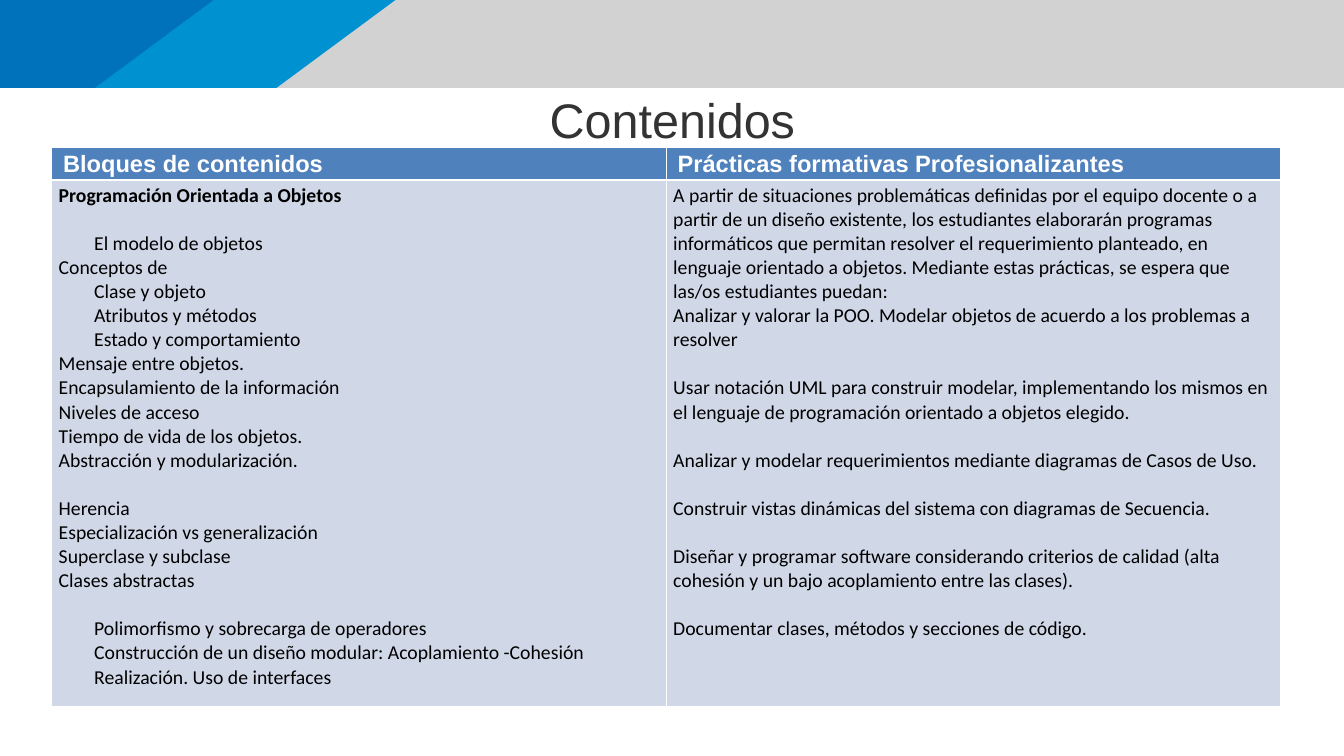
"""Build the 'Contenidos' slide: a banner, a title and a two-column table."""
from dataclasses import dataclass

from lxml import etree
from pptx import Presentation
from pptx.dml.color import RGBColor
from pptx.enum.text import MSO_ANCHOR, MSO_AUTO_SIZE, PP_ALIGN
from pptx.oxml.ns import qn
from pptx.util import Cm, Pt

CENTER = PP_ALIGN.CENTER
BOTTOM = MSO_ANCHOR.BOTTOM
NO_AUTOFIT = MSO_AUTO_SIZE.NONE

TITLE = "Contenidos"
TOPIC = "Programación Orientada a Objetos"
HEADERS = ["Bloques de contenidos", "Prácticas formativas Profesionalizantes"]
CONTENT_BLOCKS = [
    [(TOPIC, 0)],
    [
        ("El modelo de objetos", 1),
        ("Conceptos de", 0),
        ("Clase y objeto", 1),
        ("Atributos y métodos", 1),
        ("Estado y comportamiento", 1),
        ("Mensaje entre objetos.", 0),
        ("Encapsulamiento de la información", 0),
        ("Niveles de acceso", 0),
        ("Tiempo de vida de los objetos.", 0),
        ("Abstracción y modularización.", 0),
    ],
    [
        ("Herencia", 0),
        ("Especialización vs generalización", 0),
        ("Superclase y subclase", 0),
        ("Clases abstractas", 0),
    ],
    [
        ("Polimorfismo y sobrecarga de operadores", 1),
        ("Construcción de un diseño modular: Acoplamiento -Cohesión", 1),
        ("Realización. Uso de interfaces", 1),
    ],
]
PRACTICE_BLOCKS = [
    [
        ("A partir de situaciones problemáticas definidas por el equipo docente o a "
         "partir de un diseño existente, los estudiantes elaborarán programas "
         "informáticos que permitan resolver el requerimiento planteado, en "
         "lenguaje orientado a objetos. Mediante estas prácticas, se espera que "
         "las/os estudiantes puedan:", 0),
        ("Analizar y valorar la POO. Modelar objetos de acuerdo a los problemas a "
         "resolver", 0),
    ],
    [("Usar notación UML para construir modelar, implementando los mismos en "
      "el lenguaje de programación orientado a objetos elegido.", 0)],
    [("Analizar y modelar requerimientos mediante diagramas de Casos de Uso.", 0)],
    [("Construir vistas dinámicas del sistema con diagramas de Secuencia.", 0)],
    [("Diseñar y programar software considerando criterios de calidad (alta "
      "cohesión y un bajo acoplamiento entre las clases).", 0)],
    [("Documentar clases, métodos y secciones de código.", 0)],
]


@dataclass(frozen=True)
class Theme:
    """Colours, fonts and type sizes of the slide."""
    grey: str = "D2D2D3"
    light_blue: str = "0091D1"
    dark_blue: str = "0071BB"
    title: str = "333333"
    header: str = "4F81BD"
    body: str = "D0D8E8"
    white: str = "FFFFFF"
    black: str = "000000"
    heading_font: str = "Arial"
    body_font: str = "Calibri"
    title_size: float = 49.3
    header_size: float = 24
    body_size: float = 20
    block_gap: float = 24.4


T = Theme()
SLIDE_W, SLIDE_H = 48.16, 27.1
BANNER_H = 3.15
BANNER = [
    (SLIDE_W, SLIDE_W, T.grey),
    (14.17, 9.91, T.light_blue),
    (7.65, 3.4, T.dark_blue),
]
TITLE_BOX = (15.42, 3.2, 17.35, 2.1)
TABLE_LEFT, TABLE_TOP = 1.85, 5.28
COLUMN_W = 22.02
ROW_HEIGHTS = [1.17, 18.87]
INDENT = 1.27
THIN, THICK = 1, 3


def style(p, font, size, color, bold=False):
    """Set the font of a whole paragraph."""
    p.font.name, p.font.size, p.font.bold = font, Pt(size), bold
    p.font.color.rgb = RGBColor.from_string(color)


def add_band(slide, top_w, bottom_w, color):
    """Add one banner band that starts at the left edge of the slide."""
    builder = slide.shapes.build_freeform(0, 0)
    builder.add_line_segments([
        (Cm(top_w), 0), (Cm(bottom_w), Cm(BANNER_H)), (0, Cm(BANNER_H))])
    sp = builder.convert_to_shape()
    sp.shadow.inherit = False
    sp.fill.solid()
    sp.fill.fore_color.rgb = RGBColor.from_string(color)
    sp.line.fill.background()


def format_cell(cell, fill, top, bottom):
    """Set the white borders and the fill of a cell."""
    tcPr = cell._tc.get_or_add_tcPr()
    for side, width in zip("LRTB", (THIN, THIN, top, bottom)):
        ln = etree.SubElement(tcPr, qn(f"a:ln{side}"), w=str(Pt(width)))
        solid = etree.SubElement(ln, qn("a:solidFill"))
        etree.SubElement(solid, qn("a:srgbClr"), val=T.white)
    cell.fill.solid()
    cell.fill.fore_color.rgb = RGBColor.from_string(fill)


def fill_header(cell, text):
    """Write a column header."""
    format_cell(cell, T.header, THIN, THICK)
    cell.margin_left, cell.margin_right = Cm(0.41), Cm(0.18)
    cell.margin_top = cell.margin_bottom = 0
    p = cell.text_frame.paragraphs[0]
    p.text = text
    p.line_spacing = 1.15
    style(p, T.heading_font, T.header_size, T.white, True)


def fill_body(cell, blocks):
    """Write blocks of lines with a gap between blocks."""
    format_cell(cell, T.body, THICK, THIN)
    tf = cell.text_frame
    for b, block in enumerate(blocks):
        for i, (text, level) in enumerate(block):
            p = tf.add_paragraph() if b or i else tf.paragraphs[0]
            p.text = text
            p.level = level
            p._p.get_or_add_pPr().set("marL", str(Cm(INDENT * level)))
            if b and not i:
                p.space_before = Pt(T.block_gap)
            style(p, T.body_font, T.body_size, T.black, text == TOPIC)


def add_title(slide):
    """Place and format the title placeholder."""
    sp = slide.shapes.title
    sp.left, sp.top, sp.width, sp.height = map(Cm, TITLE_BOX)
    tf = sp.text_frame
    tf.margin_left = tf.margin_right = tf.margin_top = tf.margin_bottom = 0
    tf.auto_size = NO_AUTOFIT
    tf.vertical_anchor = BOTTOM
    p = tf.paragraphs[0]
    p.text = TITLE
    p.alignment = CENTER
    style(p, T.heading_font, T.title_size, T.title)


def add_contents(slide):
    """Add the table of contents and practices."""
    table = slide.shapes.add_table(
        len(ROW_HEIGHTS), len(HEADERS), Cm(TABLE_LEFT), Cm(TABLE_TOP),
        Cm(COLUMN_W * len(HEADERS)), Cm(sum(ROW_HEIGHTS))).table
    for row, height in zip(table.rows, ROW_HEIGHTS):
        row.height = Cm(height)
    for c, (header, blocks) in enumerate(zip(HEADERS, (CONTENT_BLOCKS, PRACTICE_BLOCKS))):
        table.columns[c].width = Cm(COLUMN_W)
        fill_header(table.cell(0, c), header)
        fill_body(table.cell(1, c), blocks)


def main():
    """Build and save the presentation."""
    prs = Presentation()
    prs.slide_width, prs.slide_height = Cm(SLIDE_W), Cm(SLIDE_H)
    s = prs.slides.add_slide(prs.slide_layouts[5])
    for band in BANNER:
        add_band(s, *band)
    add_title(s)
    add_contents(s)
    prs.save("out.pptx")


if __name__ == "__main__":
    main()
